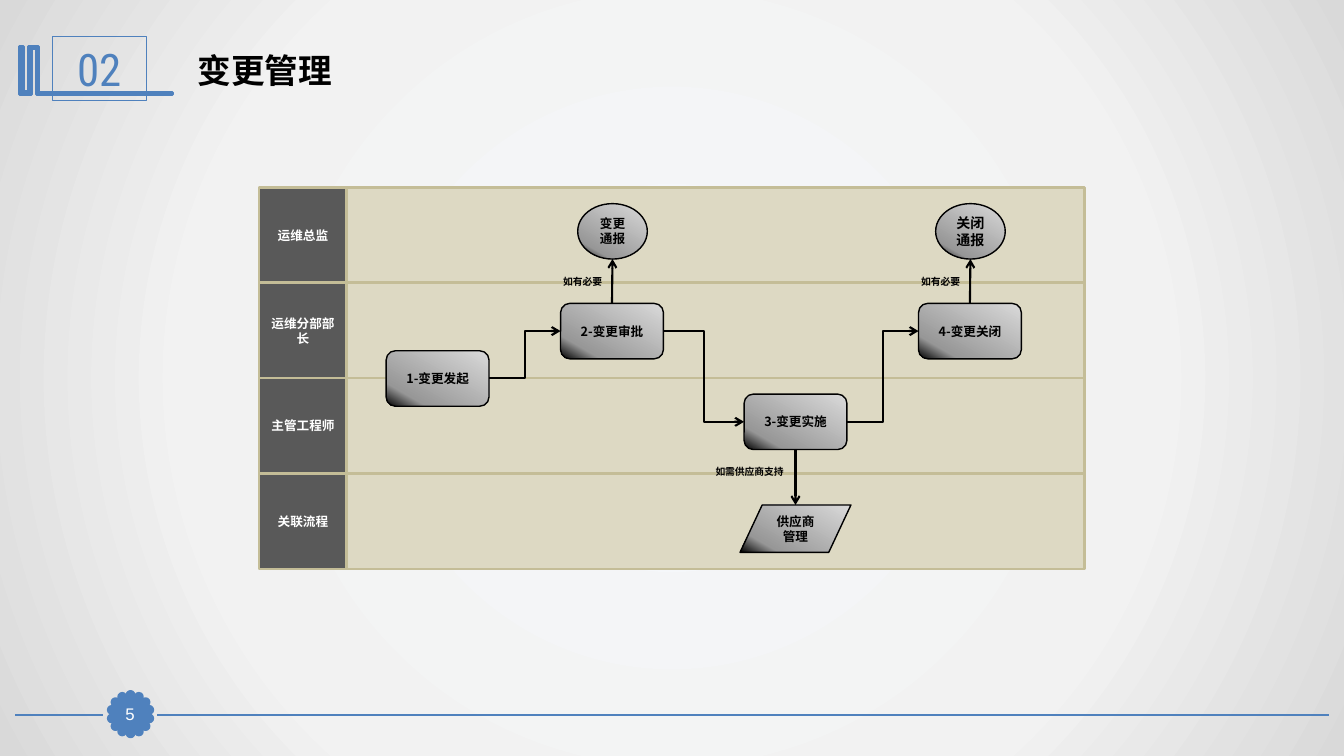
from dataclasses import dataclass
from math import cos, pi, sin

from lxml import etree
from pptx import Presentation
from pptx.dml.color import RGBColor
from pptx.enum.shapes import MSO_CONNECTOR, MSO_SHAPE
from pptx.enum.text import MSO_ANCHOR, MSO_AUTO_SIZE, PP_ALIGN
from pptx.oxml.ns import qn
from pptx.util import Inches, Pt

RECT, ELLIPSE = MSO_SHAPE.RECTANGLE, MSO_SHAPE.OVAL
STEP, DATA = MSO_SHAPE.FLOWCHART_ALTERNATE_PROCESS, MSO_SHAPE.FLOWCHART_DATA
STRAIGHT, ELBOW = MSO_CONNECTOR.STRAIGHT, MSO_CONNECTOR.ELBOW
LEFT, CENTER = PP_ALIGN.LEFT, PP_ALIGN.CENTER
TOP, MIDDLE = MSO_ANCHOR.TOP, MSO_ANCHOR.MIDDLE
NO_AUTOFIT = MSO_AUTO_SIZE.NONE
SITE_TOP, SITE_LEFT, SITE_BOTTOM, SITE_RIGHT = range(4)

BLUE = RGBColor(0x4F, 0x81, 0xBD)
BLACK = RGBColor(0, 0, 0)
WHITE = RGBColor(0xFF, 0xFF, 0xFF)
SAND = RGBColor(0xDD, 0xD9, 0xC3)
KHAKI = RGBColor(0xC4, 0xBD, 0x97)
GREY = RGBColor(0x59, 0x59, 0x59)

CJK = "Noto Sans CJK SC"
BACKGROUND_STOPS = ((0, "F6F9FC"), (63, "F2F2F2"), (100, "D9D9D9"))
NODE_STOPS = ((0, "DADADA"), (80, "979797"), (100, "000000"))
PETALS = 14
LANES = ("运维总监", "运维分部部长", "主管工程师", "关联流程")
LANE_TOP, LANE_PITCH, LANE_HEIGHT = 1.86, 0.945, 0.95
EMBLEM = ((38, 46), (38, 92), (171, 92), (171, 94), (36, 94), (36, 48),
          (31, 48), (31, 94), (19, 94), (19, 46), (23, 46), (23, 91),
          (28, 91), (28, 46))


@dataclass
class Node:
    key: str
    kind: int
    x: float
    y: float
    w: float
    h: float
    text: str
    size: float = 9


@dataclass
class Link:
    start: str
    start_site: int
    end: str
    end_site: int


@dataclass
class Note:
    x: float
    y: float
    w: float
    text: str


NODES = (
    Node("raise", STEP, 3.83, 3.48, 1.02, 0.55, "1-变更发起"),
    Node("approve", STEP, 5.56, 3.01, 1.02, 0.55, "2-变更审批"),
    Node("carry out", STEP, 7.38, 3.91, 1.02, 0.55, "3-变更实施"),
    Node("close", STEP, 9.11, 3.01, 1.02, 0.55, "4-变更关闭"),
    Node("change notice", ELLIPSE, 5.73, 2.02, 0.69, 0.55, "变更通报"),
    Node("closing notice", ELLIPSE, 9.28, 2.02, 0.69, 0.55, "关闭通报", 10),
    Node("supplier", DATA, 7.34, 5.01, 1.1, 0.47, "供应商管理"),
)
LINKS = (
    Link("raise", SITE_RIGHT, "approve", SITE_LEFT),
    Link("approve", SITE_RIGHT, "carry out", SITE_LEFT),
    Link("carry out", SITE_RIGHT, "close", SITE_LEFT),
    Link("approve", SITE_TOP, "change notice", SITE_BOTTOM),
    Link("close", SITE_TOP, "closing notice", SITE_BOTTOM),
    Link("carry out", SITE_BOTTOM, "supplier", SITE_TOP),
)
NOTES = (
    Note(5.45, 2.69, 0.66, "如有必要"),
    Note(9, 2.69, 0.66, "如有必要"),
    Note(6.95, 4.57, 0.97, "如需供应商支持"),
)


def write(sp, text: str, size: float, color: RGBColor, font: str = CJK,
          bold: bool = True, align=CENTER, anchor=MIDDLE) -> None:
    tf = sp.text_frame
    tf.word_wrap = True
    tf.auto_size = NO_AUTOFIT
    tf.vertical_anchor = anchor
    p = tf.paragraphs[0]
    p.alignment = align
    r = p.add_run()
    r.text = text
    r.font.size, r.font.bold = Pt(size), bold
    r.font.color.rgb = color
    r.font.name = font
    etree.SubElement(r._r.get_or_add_rPr(), qn("a:ea"), typeface=CJK)


def paint(sp, fill: RGBColor | None, line: RGBColor, width: float) -> None:
    sp.shadow.inherit = False
    if fill is None:
        sp.fill.background()
    else:
        sp.fill.solid()
        sp.fill.fore_color.rgb = fill
    sp.line.color.rgb = line
    sp.line.width = Pt(width)


def add_box(s, kind: int, x: float, y: float, w: float, h: float,
            fill: RGBColor | None, line: RGBColor, width: float):
    sp = s.shapes.add_shape(kind, Inches(x), Inches(y), Inches(w), Inches(h))
    paint(sp, fill, line, width)
    return sp


def set_gradient(owner, fill, stops, angle: int | None = None) -> None:
    fill.gradient()
    grad = owner.find(".//" + qn("a:gradFill"))
    for child in list(grad):
        grad.remove(child)
    gs_list = etree.SubElement(grad, qn("a:gsLst"))
    for pos, color in stops:
        gs = etree.SubElement(gs_list, qn("a:gs"), pos=str(pos * 1000))
        etree.SubElement(gs, qn("a:srgbClr"), val=color)
    if angle is None:
        circle = etree.SubElement(grad, qn("a:path"), {"path": "circle"})
        etree.SubElement(circle, qn("a:fillToRect"), {side: "50000" for side in "ltrb"})
    else:
        etree.SubElement(grad, qn("a:lin"), ang=str(angle * 60000), scaled="0")


def add_line(s, kind: int, start, end, color: RGBColor, width: float, arrow: bool = False):
    line = s.shapes.add_connector(kind, *start, *end)
    line.line.color.rgb = color
    line.line.width = Pt(width)
    if arrow:
        etree.SubElement(line.line._get_or_add_ln(), qn("a:tailEnd"), type="arrow")
    etree.SubElement(line._element.spPr, qn("a:effectLst"))
    return line


def site_point(sp, site: int) -> tuple[int, int]:
    fx, fy = ((0.5, 0), (0, 0.5), (0.5, 1), (1, 0.5))[site]
    return int(sp.left + sp.width * fx), int(sp.top + sp.height * fy)


def draw_frame(s) -> None:
    for x1, x2 in ((13.18, 1.56), (1.02, 0.15)):
        add_line(s, STRAIGHT, (Inches(x1), Inches(7.09)), (Inches(x2), Inches(7.09)), BLUE, 1.25)
    for i in range(PETALS):
        a = 2 * pi * i / PETALS
        add_box(s, ELLIPSE, 1.26 + 0.19 * sin(a), 7.05 - 0.19 * cos(a), 0.07, 0.07, BLUE, BLUE, 2)
    page = add_box(s, RECT, 1.13, 6.93, 0.32, 0.31, BLUE, BLUE, 0.75)
    tf = page.text_frame
    tf.margin_left = tf.margin_top = tf.margin_right = tf.margin_bottom = 0
    write(page, "5", 12, WHITE, "Arial", False)
    builder = s.shapes.build_freeform(37, 46, scale=Inches(0.01))
    builder.add_line_segments(EMBLEM, close=True)
    paint(builder.convert_to_shape(), BLUE, BLUE, 2)
    number = add_box(s, RECT, 0.52, 0.36, 0.93, 0.64, None, BLUE, 0.75)
    write(number, "02", 32, BLUE, "Roboto Condensed", False)
    title = s.shapes.title
    title.left, title.top = Inches(1.86), Inches(0.44)
    title.width, title.height = Inches(9.69), Inches(0.5)
    write(title, "变更管理", 24, BLACK, "Arial", align=LEFT, anchor=TOP)


def draw_flow(s) -> None:
    for i, name in enumerate(LANES):
        y = LANE_TOP + i * LANE_PITCH
        add_box(s, RECT, 2.62, y, 8.14, LANE_HEIGHT, SAND, KHAKI, 2)
        head = add_box(s, RECT, 2.57, y, 0.87, LANE_HEIGHT, GREY, KHAKI, 2)
        write(head, name, 9, WHITE)
    shapes = {}
    for n in NODES:
        sp = add_box(s, n.kind, n.x, n.y, n.w, n.h, None, BLACK, 1)
        set_gradient(sp._element.spPr, sp.fill, NODE_STOPS, 120)
        write(sp, n.text, n.size, BLACK)
        shapes[n.key] = sp
    for k in LINKS:
        start, end = shapes[k.start], shapes[k.end]
        kind = ELBOW if k.start_site == SITE_RIGHT else STRAIGHT
        line = add_line(s, kind, site_point(start, k.start_site),
                        site_point(end, k.end_site), BLACK, 1.5, True)
        line.begin_connect(start, k.start_site)
        if kind == ELBOW:
            line.end_connect(end, k.end_site)
    for n in NOTES:
        tb = s.shapes.add_textbox(Inches(n.x), Inches(n.y), Inches(n.w), Inches(0.22))
        write(tb, n.text, 7, BLACK, anchor=TOP)


def main() -> None:
    prs = Presentation()
    prs.slide_width, prs.slide_height = Inches(13.33), Inches(7.5)
    s = prs.slides.add_slide(prs.slide_layouts[5])
    set_gradient(s._element, s.background.fill, BACKGROUND_STOPS)
    draw_frame(s)
    draw_flow(s)
    prs.save("out.pptx")


if __name__ == "__main__":
    main()
